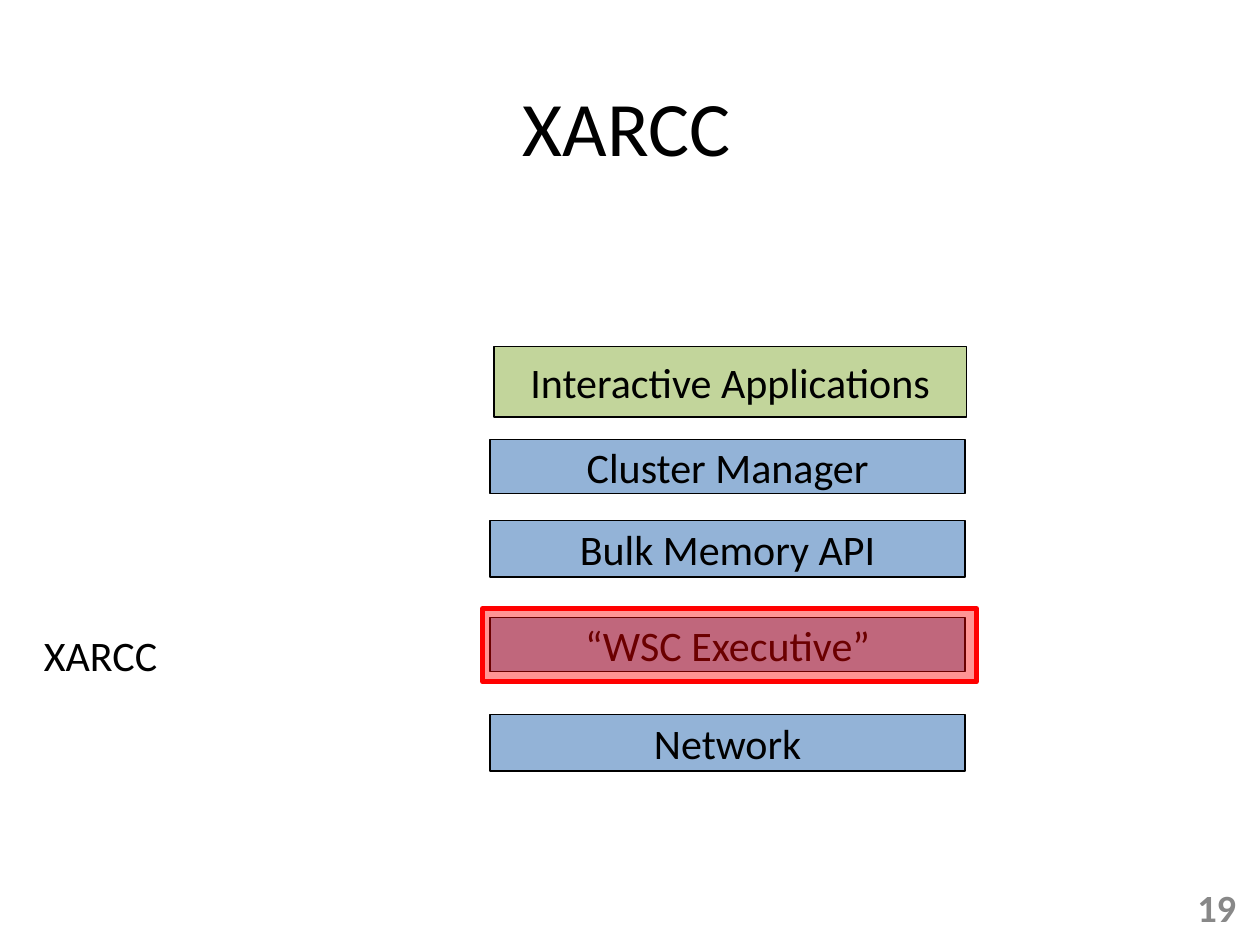
from lxml import etree
from pptx import Presentation
from pptx.dml.color import RGBColor
from pptx.enum import shapes, text
from pptx.oxml import ns
from pptx.util import Inches, Pt

BLACK, BLUE, GREEN, RED, GRAY = "000000", "93B3D7", "C2D59B", "FF0000", "888888"
LAYERS = [
    ("Interactive Applications", GREEN, (3.92, 2.75, 3.75, 0.56)),
    ("Cluster Manager", BLUE, (3.89, 3.49, 3.77, 0.43)),
    ("Bulk Memory API", BLUE, (3.89, 4.13, 3.77, 0.45)),
    ("“WSC Executive”", BLUE, (3.89, 4.9, 3.77, 0.43)),
    ("Network", BLUE, (3.89, 5.67, 3.77, 0.45)),
]


def rgb(value):
    return RGBColor.from_string(value)


def inches(box):
    return [Inches(length) for length in box]


def write(shape, words, size, color, align, anchor, bold=False, wrap=True):
    frame = shape.text_frame
    frame.text = words
    frame.word_wrap = wrap
    frame.vertical_anchor = anchor
    paragraph = frame.paragraphs[0]
    paragraph.alignment = align
    font = paragraph.runs[0].font
    font.name = "Calibri"
    font.size = Pt(size)
    font.bold = bold
    font.color.rgb = rgb(color)


def add_rectangle(slide, box, fill, line, width):
    shape = slide.shapes.add_shape(shapes.MSO_SHAPE.RECTANGLE, *inches(box))
    shape.shadow.inherit = False
    shape.fill.solid()
    shape.fill.fore_color.rgb = rgb(fill)
    shape.line.color.rgb = rgb(line)
    shape.line.width = Pt(width)
    return shape


def add_title(slide, box):
    shape = slide.shapes.add_textbox(*inches(box))
    write(shape, "XARCC", 44, BLACK, text.PP_ALIGN.CENTER, text.MSO_ANCHOR.TOP)


def add_layer(slide, box, words, fill):
    shape = add_rectangle(slide, box, fill, BLACK, 0.75)
    write(shape, words, 24, BLACK, text.PP_ALIGN.CENTER, text.MSO_ANCHOR.MIDDLE)


def add_highlight(slide, box):
    shape = add_rectangle(slide, box, RED, RED, 3)
    color = shape.fill._xPr.find(ns.qn("a:solidFill"))[0]
    etree.SubElement(color, ns.qn("a:alpha"), val="42000")


def add_stack_label(slide, box):
    shape = slide.shapes.add_textbox(*inches(box))
    write(shape, "XARCC", 24, BLACK, text.PP_ALIGN.LEFT, text.MSO_ANCHOR.TOP, wrap=False)
    shape.text_frame.auto_size = text.MSO_AUTO_SIZE.SHAPE_TO_FIT_TEXT


def add_page_number(slide, box):
    shape = slide.shapes.add_textbox(*inches(box))
    write(shape, "19", 22, GRAY, text.PP_ALIGN.RIGHT, text.MSO_ANCHOR.MIDDLE, bold=True)


def main():
    presentation = Presentation()
    presentation.slide_width = Inches(10)
    presentation.slide_height = Inches(7.5)
    slide = presentation.slides.add_slide(presentation.slide_layouts[6])
    add_title(slide, (0.2, 0.58, 9.55, 0.83))
    for words, fill, box in LAYERS:
        add_layer(slide, box, words, fill)
    add_page_number(slide, (7.58, 7, 2.33, 0.4))
    add_highlight(slide, (3.83, 4.83, 3.92, 0.58))
    add_stack_label(slide, (0.25, 4.95, 1.11, 0.5))
    presentation.save("out.pptx")


if __name__ == "__main__":
    main()
